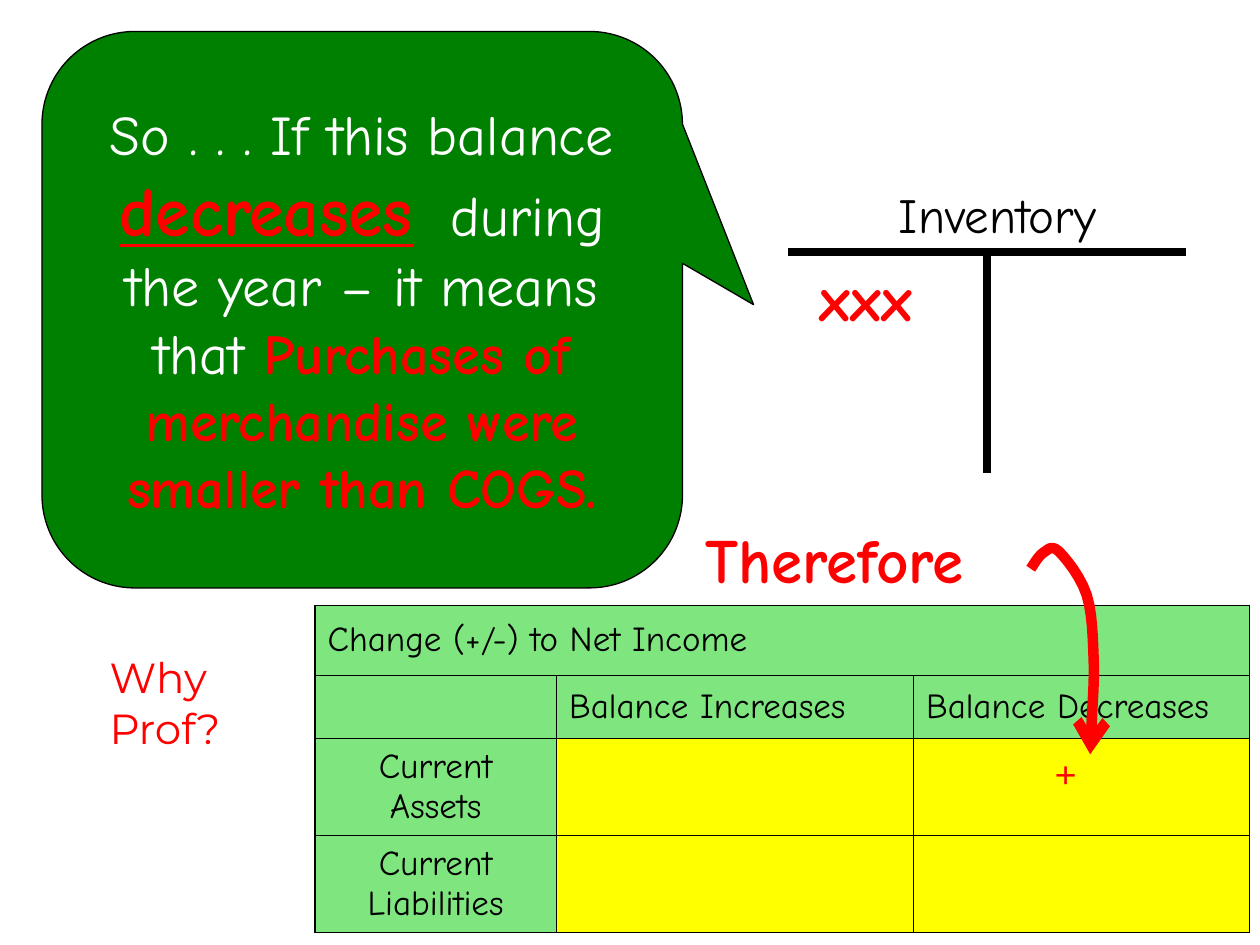
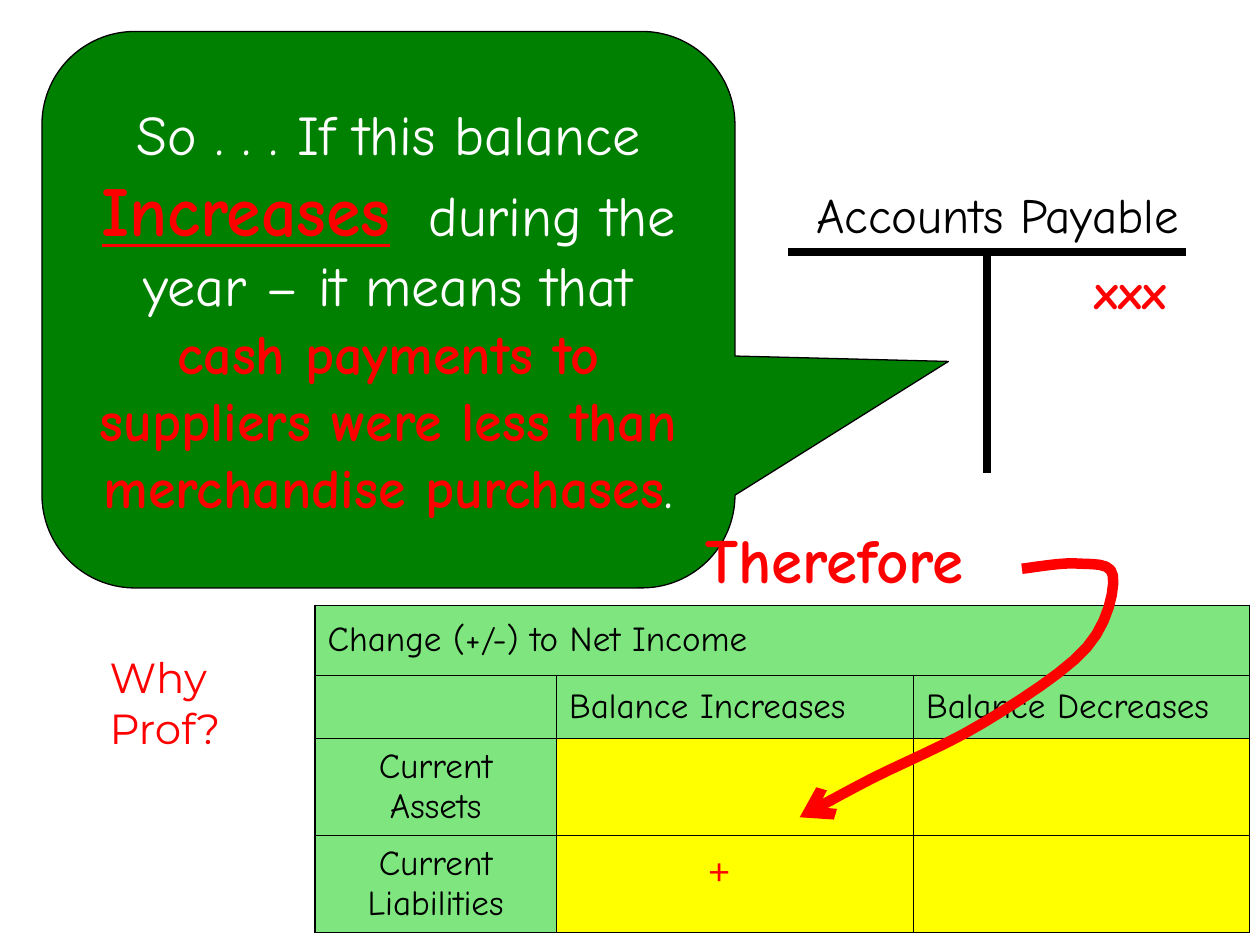
"""Build two slides on how balance changes affect net income."""
from lxml.etree import SubElement
from pptx import Presentation
from pptx.dml.color import RGBColor
from pptx.enum.shapes import MSO_CONNECTOR, MSO_SHAPE
from pptx.enum.text import MSO_ANCHOR, PP_ALIGN
from pptx.oxml import parse_xml
from pptx.oxml.ns import nsdecls, qn
from pptx.util import Pt

BLACK = RGBColor(0x00, 0x00, 0x00)
WHITE = RGBColor(0xFF, 0xFF, 0xFF)
RED = RGBColor(0xFF, 0x00, 0x00)
GREEN = RGBColor(0x00, 0x80, 0x00)
LIME = RGBColor(0x00, 0xCC, 0x00)
YELLOW = RGBColor(0xFF, 0xFF, 0x00)
HAND = "Comic Neue"
SANS = "Montserrat"

BAR_LEFT, BAR_RIGHT, BAR_TOP, STEM_END = 450, 678, 144, 270
BAR_MID = (BAR_LEFT + BAR_RIGHT) / 2

GRID = [
    ["Change (+/-) to Net Income", "", ""],
    ["", "Balance Increases", "Balance Decreases"],
    ["Current\vAssets", "", ""],
    ["Current Liabilities", "", ""],
]
GRID_LEFT, GRID_TOP = 180, 346
WIDTHS = [138, 204, 192]
HEIGHTS = [40, 36, 55.5, 55.5]
THIN, THICK = Pt(0.45), Pt(1.08)

STEPS = 6

SLIDES = [
    {
        "account": "Inventory",
        "mark_box": (432, BAR_TOP, 126, 50), "mark_size": 36,
        "bubble_width": 366, "tail": (0.611, -0.009),
        "change": "decreases",
        "reason": "Purchases of merchandise were smaller than COGS",
        "stop_color": RED,
        "plus_cell": (2, 2),
        "route": [(589, 325), (596, 316), (605, 315), (621, 340),
                  (625, 377), (624, 410), (623, 431)],
    },
    {
        "account": "Accounts Payable",
        "mark_box": (616, BAR_TOP + 1.5, 60, 41), "mark_size": 28,
        "bubble_width": 396, "tail": (0.808, 0.093),
        "change": "Increases",
        "reason": "cash payments to suppliers were less than merchandise purchases",
        "stop_color": WHITE,
        "plus_cell": (3, 1),
        "route": [(584, 325), (615, 322), (636, 329), (621, 370),
                  (562, 413), (498, 445), (457, 467)],
    },
]


def style(para, size, color, name=HAND, bold=False, align=PP_ALIGN.LEFT):
    para.alignment = align
    font = para.font
    font.name, font.size, font.bold = name, Pt(size), bold
    font.color.rgb = color


def write(slide, box, text, size, color, **look):
    frame = slide.shapes.add_textbox(*map(Pt, box)).text_frame
    frame.word_wrap = True
    frame.text = text
    for para in frame.paragraphs:
        style(para, size, color, **look)


deck = Presentation()
deck.slide_width, deck.slide_height = Pt(720), Pt(540)

for item in SLIDES:
    slide = deck.slides.add_slide(deck.slide_layouts[6])
    shapes = slide.shapes

    bar = (BAR_LEFT, BAR_TOP, BAR_RIGHT, BAR_TOP)
    stem = (BAR_MID, STEM_END, BAR_MID, BAR_TOP)
    for ends in [bar, stem]:
        line = shapes.add_connector(MSO_CONNECTOR.STRAIGHT, *map(Pt, ends))
        line.line.color.rgb = BLACK
        line.line.width = Pt(4.5)
        SubElement(line._element.spPr, qn("a:effectLst"))
    write(slide, (420, 102, 300, 41), item["account"], 28, BLACK, align=PP_ALIGN.CENTER)
    write(slide, item["mark_box"], "xxx", item["mark_size"], RED,
          bold=True, align=PP_ALIGN.CENTER)

    bubble = shapes.add_shape(MSO_SHAPE.ROUNDED_RECTANGULAR_CALLOUT,
                              Pt(24), Pt(18), Pt(item["bubble_width"]), Pt(318))
    bubble.shadow.inherit = False
    bubble.adjustments[0], bubble.adjustments[1] = item["tail"]
    bubble.adjustments[2] = 0.167
    bubble.fill.solid()
    bubble.fill.fore_color.rgb = GREEN
    bubble.line.color.rgb = BLACK
    bubble.line.width = Pt(0.75)
    bubble.text_frame.word_wrap = True
    bubble.text_frame.vertical_anchor = MSO_ANCHOR.MIDDLE
    para = bubble.text_frame.paragraphs[0]
    style(para, 32, WHITE, align=PP_ALIGN.CENTER)
    parts = [("So . . . If this balance ", WHITE), (item["change"], RED), (" ", WHITE),
             ("during the year – it means that ", WHITE),
             (item["reason"], RED), (".", item["stop_color"])]
    for text, color in parts:
        run = para.add_run()
        run.text = text
        run.font.color.rgb = color
        run.font.bold = color == RED
        if text == item["change"]:
            run.font.size = Pt(40)
            run.font.underline = True
        if text == " ":
            run.font._element.set("spc", "1100")

    table = shapes.add_table(len(HEIGHTS), len(WIDTHS), Pt(GRID_LEFT), Pt(GRID_TOP),
                             Pt(sum(WIDTHS)), Pt(sum(HEIGHTS))).table
    table.first_row = table.horz_banding = False
    for column, width in zip(table.columns, WIDTHS):
        column.width = Pt(width)
    for row, height in zip(table.rows, HEIGHTS):
        row.height = Pt(height)
    table.cell(0, 0).merge(table.cell(0, 2))
    for r, words in enumerate(GRID):
        for c, text in enumerate(words):
            cell = table.cell(r, c)
            cell.vertical_anchor = MSO_ANCHOR.MIDDLE
            para = cell.text_frame.paragraphs[0]
            para.text = text
            style(para, 20, BLACK, align=PP_ALIGN.CENTER if r > 1 else PP_ALIGN.LEFT)
            head = r < 2 or c == 0
            cell.fill.solid()
            cell.fill.fore_color.rgb = LIME if head else YELLOW
            props = cell._tc.get_or_add_tcPr()
            if head:
                tint = props.find(".//" + qn("a:srgbClr"))
                SubElement(tint, qn("a:alpha")).set("val", "50000")
            outer = {"L": c == 0, "R": c == 2 or r == 0, "T": r == 0, "B": r == 3}
            for n, (side, edge) in enumerate(outer.items()):
                props.insert(n, parse_xml(
                    f'<a:ln{side} {nsdecls("a")} w="{THICK if edge else THIN}"><a:solidFill>'
                    f'<a:srgbClr val="{BLACK}"/></a:solidFill></a:ln{side}>'))

    write(slide, (396, 294, 198, 50), "Therefore", 36, RED, bold=True)
    write(slide, (55.5, 369, 110, 141), "Why\nProf?", 24, RED, name=SANS)

    r, c = item["plus_cell"]
    left = GRID_LEFT + sum(WIDTHS[:c])
    top = GRID_TOP + sum(HEIGHTS[:r])
    write(slide, (left, top + 2, WIDTHS[c] - 18, 38), "+", 24, RED,
          name=SANS, align=PP_ALIGN.CENTER)

    route = item["route"]
    padded = [route[0], *route, route[-1]]
    dots = []
    for before, start, end, after in zip(padded, padded[1:], padded[2:], padded[3:]):
        for step in range(1, STEPS + 1):
            t = step / STEPS
            dots.append([
                Pt(s + t * ((e - b) + t * ((2 * b - 5 * s + 4 * e - a)
                                           + t * (3 * s - b - 3 * e + a))) / 2)
                for b, s, e, a in zip(before, start, end, after)])
    pen = shapes.build_freeform(*map(Pt, route[0]))
    pen.add_line_segments(dots, close=False)
    arrow = pen.convert_to_shape()
    arrow.shadow.inherit = False
    arrow.fill.background()
    arrow.line.color.rgb = RED
    arrow.line.width = Pt(6)
    SubElement(arrow._element.spPr.find(qn("a:ln")), qn("a:tailEnd")).set("type", "arrow")

deck.save("out.pptx")
